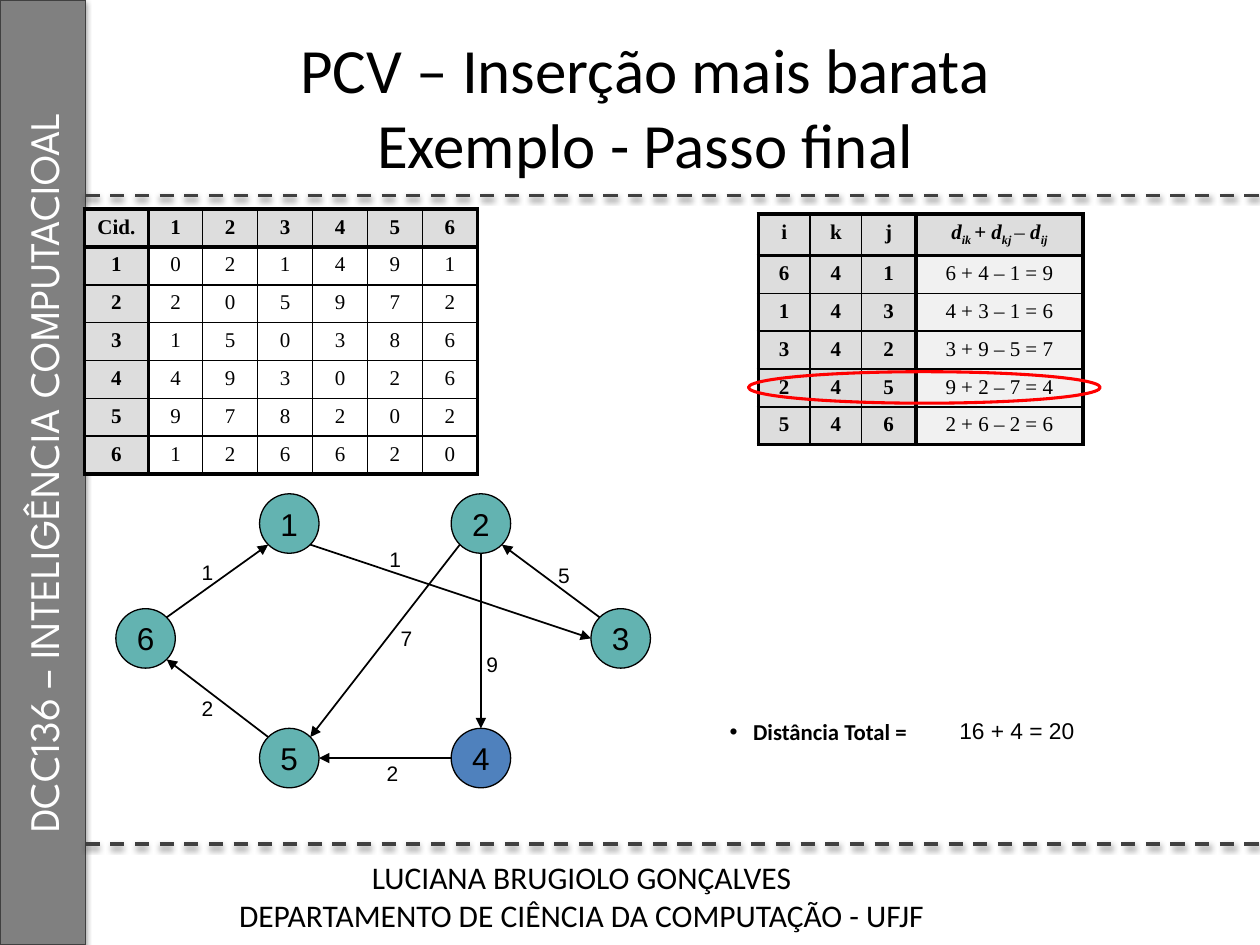
from lxml import etree
from pptx import Presentation
from pptx.dml.color import RGBColor
from pptx.enum.dml import MSO_LINE
from pptx.enum.shapes import MSO_CONNECTOR, MSO_SHAPE
from pptx.enum.text import MSO_ANCHOR, MSO_AUTO_SIZE, PP_ALIGN
from pptx.oxml.ns import qn
from pptx.util import Pt

ELLIPSE, RECTANGLE = MSO_SHAPE.OVAL, MSO_SHAPE.RECTANGLE
STRAIGHT, DASH = MSO_CONNECTOR.STRAIGHT, MSO_LINE.DASH
CENTER, LEFT = PP_ALIGN.CENTER, PP_ALIGN.LEFT
MIDDLE = MSO_ANCHOR.MIDDLE
FIT_SHAPE, NO_FIT = MSO_AUTO_SIZE.SHAPE_TO_FIT_TEXT, MSO_AUTO_SIZE.NONE

BLACK = RGBColor(0x00, 0x00, 0x00)
WHITE = RGBColor(0xFF, 0xFF, 0xFF)
SIDEBAR_GRAY = RGBColor(0x80, 0x80, 0x80)
RULE_GRAY = RGBColor(0x40, 0x40, 0x40)
HEADER_GRAY = RGBColor(0xDD, 0xDD, 0xDD)
RESULT_GRAY = RGBColor(0xF1, 0xF1, 0xF1)
CITY_TEAL = RGBColor(0x63, 0xB3, 0xB1)
NEW_CITY_BLUE = RGBColor(0x4F, 0x81, 0xBD)
RED = RGBColor(0xFF, 0x00, 0x00)

THIN, HEAVY = 1, 2.25
ROW_HEIGHT = 21.6
DIAMETER = 34
DIAGONAL = 0.5 ** 0.5

# Points on a city's circle, as multiples of its radius
TOP, BOTTOM, LEFT_SIDE, RIGHT_SIDE = (0, -1), (0, 1), (-1, 0), (1, 0)
TOP_LEFT, TOP_RIGHT = (-DIAGONAL, -DIAGONAL), (DIAGONAL, -DIAGONAL)
BOTTOM_LEFT, BOTTOM_RIGHT = (-DIAGONAL, DIAGONAL), (DIAGONAL, DIAGONAL)

CITIES = {"1": (148.3, 282.2), "2": (257.8, 282.2), "3": (337.7, 347.8),
          "4": (257.8, 416.2), "5": (148.3, 416.2), "6": (66.2, 347.8)}
NEW_CITY = "4"
# origin, exit point, destination, entry point, distance, label position
ROUTES = [
    ("2", BOTTOM_LEFT, "5", TOP_RIGHT, "7", (221.8, 354.2)),
    ("5", TOP_LEFT, "6", BOTTOM_RIGHT, "2", (108, 393.8)),
    ("6", TOP_RIGHT, "1", BOTTOM_LEFT, "1", (108, 316)),
    ("1", BOTTOM_RIGHT, "3", LEFT_SIDE, "1", (215.3, 308.9)),
    ("3", TOP_LEFT, "2", BOTTOM_RIGHT, "5", (311.8, 318.2)),
    ("2", BOTTOM, "4", TOP, "9", (270.7, 368.6)),
    ("4", LEFT_SIDE, "5", RIGHT_SIDE, "2", (213.8, 431.3)),
]
DISTANCES = ["021491", "205972", "150386", "493026", "978202", "126620"]
INSERTIONS = [
    ["i", "k", "j", ""],
    ["6", "4", "1", "6 + 4 – 1 = 9"],
    ["1", "4", "3", "4 + 3 – 1 = 6"],
    ["3", "4", "2", "3 + 9 – 5 = 7"],
    ["2", "4", "5", "9 + 2 – 7 = 4"],
    ["5", "4", "6", "2 + 6 – 2 = 6"],
]
# text, bold, italic, subscript
COST_FORMULA = [
    ("d", True, True, False), ("ik ", True, True, True), ("+", True, False, False),
    (" d", True, True, False), ("kj ", True, True, True), ("–", False, False, False),
    (" d", True, True, False), ("ij", True, True, True),
]


def format_text(frame, size, font, color=BLACK, bold=False, align=CENTER):
    for paragraph in frame.paragraphs:
        paragraph.alignment = align
        for run in paragraph.runs:
            run.font.size, run.font.name = Pt(size), font
            run.font.color.rgb, run.font.bold = color, bold


def place(shape, left, top, width, height):
    shape.left, shape.top = Pt(left), Pt(top)
    shape.width, shape.height = Pt(width), Pt(height)


def set_effects(shape, shadow_opacity=0):
    """Replace the theme's shadow by a soft one below, or by none."""
    effects = etree.SubElement(shape._element.spPr, qn("a:effectLst"))
    if shadow_opacity:
        shadow = etree.SubElement(effects, qn("a:outerShdw"), blurRad=str(Pt(3.1)),
                                  dist=str(Pt(1.7)), dir="5400000", rotWithShape="0")
        tint = etree.SubElement(shadow, qn("a:srgbClr"), val=str(BLACK))
        etree.SubElement(tint, qn("a:alpha"), val=str(shadow_opacity * 1000))


def add_line(slide, start, end, color, width):
    line = slide.shapes.add_connector(STRAIGHT, *(Pt(v) for v in (*start, *end)))
    line.line.color.rgb, line.line.width = color, Pt(width)
    return line


def add_text(slide, text, box, size, font="Arial", wrap=False):
    label = slide.shapes.add_textbox(*(Pt(v) for v in box))
    frame = label.text_frame
    frame.text, frame.word_wrap, frame.auto_size = text, wrap, FIT_SHAPE
    format_text(frame, size, font)


def add_frame(slide):
    """Sidebar, dashed rules and footer."""
    sidebar = slide.shapes.add_shape(RECTANGLE, Pt(-245.5), Pt(245.5), Pt(540), Pt(49))
    sidebar.rotation = 270
    sidebar.fill.solid()
    sidebar.fill.fore_color.rgb = SIDEBAR_GRAY
    sidebar.line.color.rgb, sidebar.line.width = RULE_GRAY, Pt(0.75)
    sidebar.text_frame.text = "DCC136 – INTELIGÊNCIA COMPUTACIOAL"
    sidebar.text_frame.vertical_anchor = MIDDLE
    format_text(sidebar.text_frame, 24, "League Spartan", WHITE)
    set_effects(sidebar, 35)
    for y in (111.6, 482.4):
        rule = add_line(slide, (49, y), (720, y), RULE_GRAY, 2)
        rule.line.dash_style = DASH
        set_effects(rule, 38)
    add_text(slide, "LUCIANA BRUGIOLO GONÇALVES\nDEPARTAMENTO DE CIÊNCIA DA COMPUTAÇÃO - UFJF",
             (80, 486.7, 504.7, 51), 18, "Calibri", wrap=True)


def add_city(slide, city):
    circle = slide.shapes.add_shape(ELLIPSE, *(Pt(v) for v in (*CITIES[city], DIAMETER, DIAMETER)))
    circle.shadow.inherit = False
    circle.fill.solid()
    circle.fill.fore_color.rgb = NEW_CITY_BLUE if city == NEW_CITY else CITY_TEAL
    circle.line.color.rgb, circle.line.width = BLACK, Pt(0.75)
    frame = circle.text_frame
    frame.text, frame.word_wrap, frame.vertical_anchor = city, False, MIDDLE
    format_text(frame, 18, "Arial")


def circle_point(city, direction):
    return [corner + DIAMETER / 2 * (1 + d) for corner, d in zip(CITIES[city], direction)]


def add_route(slide, origin, exit_point, destination, entry_point, distance, label_at):
    arrow = add_line(slide, circle_point(origin, exit_point),
                     circle_point(destination, entry_point), BLACK, THIN)
    etree.SubElement(arrow.line._get_or_add_ln(), qn("a:tailEnd"), type="triangle")
    set_effects(arrow)
    add_text(slide, distance, (*label_at, 21, 21.6), 12)


def set_borders(cell, widths):
    for side, width in widths.items():
        border = etree.SubElement(cell._tc.get_or_add_tcPr(), qn(f"a:ln{side}"), w=str(Pt(width)))
        fill = etree.SubElement(border, qn("a:solidFill"))
        etree.SubElement(fill, qn("a:srgbClr"), val=str(BLACK))


def add_grid(slide, rows, left, top, col_widths, key_cols, body_fill=None):
    """Table with a gray header row and key columns, set off by heavy borders."""
    n_rows, n_cols = len(rows), len(col_widths)
    table = slide.shapes.add_table(n_rows, n_cols, Pt(left), Pt(top), Pt(sum(col_widths)),
                                   Pt(ROW_HEIGHT * n_rows)).table
    table.first_row = table.horz_banding = False
    for column, width in zip(table.columns, col_widths):
        column.width = Pt(width)
    heavy_x, heavy_y = (0, key_cols, n_cols), (0, 1, n_rows)
    for r, values in enumerate(rows):
        table.rows[r].height = Pt(ROW_HEIGHT)
        for c, value in enumerate(values):
            cell = table.cell(r, c)
            is_key = r == 0 or c < key_cols
            cell.text = value
            format_text(cell.text_frame, 12, "Times New Roman", bold=is_key)
            set_borders(cell, {"L": HEAVY if c in heavy_x else THIN,
                               "R": HEAVY if c + 1 in heavy_x else THIN,
                               "T": HEAVY if r in heavy_y else THIN,
                               "B": HEAVY if r + 1 in heavy_y else THIN})
            fill = HEADER_GRAY if is_key else body_fill
            if fill:
                cell.fill.solid()
                cell.fill.fore_color.rgb = fill
            else:
                cell.fill.background()
    return table


def write_cost_formula(cell):
    paragraph = cell.text_frame.paragraphs[0]
    for text, *_ in COST_FORMULA:
        paragraph.add_run().text = text
    format_text(cell.text_frame, 12, "Times New Roman")
    for run, (_, bold, italic, subscript) in zip(paragraph.runs, COST_FORMULA):
        run.font.bold, run.font.italic = bold, italic
        if subscript:
            run.font._element.set("baseline", "-25000")


def fill_title(title):
    place(title, 54, 15.8, 629.3, 89.3)
    frame = title.text_frame
    frame.text = "PCV – Inserção mais barata\vExemplo - Passo final"
    frame.vertical_anchor, frame.auto_size = MIDDLE, NO_FIT
    format_text(frame, 36, "Calibri")


def fill_total(body):
    place(body, 409.7, 406.8, 152, 30.2)
    frame = body.text_frame
    frame.text, frame.auto_size = "Distância Total =", NO_FIT
    format_text(frame, 13, "Calibri", bold=True, align=LEFT)
    paragraph = frame.paragraphs[0]
    paragraph.space_before = Pt(2.6)
    properties = paragraph._p.get_or_add_pPr()
    properties.set("marL", str(Pt(13.5)))
    properties.set("indent", str(Pt(-13.5)))
    etree.SubElement(properties, qn("a:buChar"), char="•")


def main():
    deck = Presentation()
    deck.slide_width, deck.slide_height = Pt(720), Pt(540)
    slide = deck.slides.add_slide(deck.slide_layouts[1])
    add_frame(slide)
    fill_title(slide.shapes.title)
    fill_total(slide.placeholders[1])
    add_text(slide, "16 + 4 = 20", (540.7, 406, 80.6, 23), 13)
    for city in CITIES:
        add_city(slide, city)
    for route in ROUTES:
        add_route(slide, *route)
    distance_rows = [["Cid.", *CITIES]] + [[city, *row] for city, row in zip(CITIES, DISTANCES)]
    add_grid(slide, distance_rows, 48.2, 119.5, [36.7, 31] + [31.4] * 5, key_cols=1)
    insertions = add_grid(slide, INSERTIONS, 433.4, 122.4, [29.5, 29.5, 31, 95.5],
                          key_cols=3, body_fill=RESULT_GRAY)
    write_cost_formula(insertions.cell(0, 3))
    cheapest = slide.shapes.add_shape(ELLIPSE, Pt(427.7), Pt(212.4), Pt(201), Pt(18))
    cheapest.shadow.inherit = False
    cheapest.fill.background()
    cheapest.line.color.rgb, cheapest.line.width = RED, Pt(1.75)
    deck.save("out.pptx")


if __name__ == "__main__":
    main()
